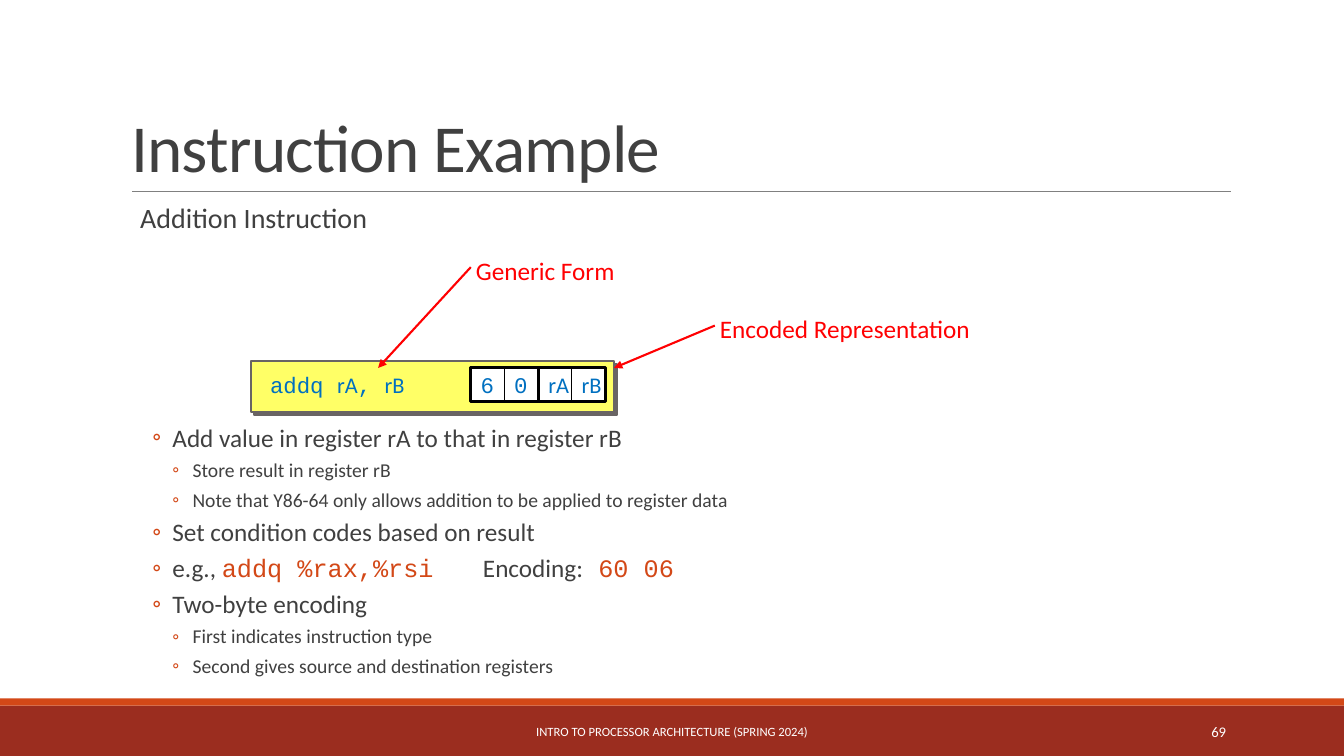
from lxml import etree
from pptx import Presentation
from pptx import util as u
from pptx.dml.color import RGBColor
from pptx.enum import shapes, text
from pptx.oxml.ns import qn

SANS, MONO = "Calibri", "Courier New"
INK, ORANGE, BLUE, RED, WHITE = "404040", "D34817", "0070C0", "FF0002", "FFFFFF"
GREY, BLACK = "696464", "000000"

BULLETS = [
    (1, [("Add value in register rA to that in register rB", SANS, INK)]),
    (2, [("Store result in register rB", SANS, INK)]),
    (2, [("Note that Y86-64 only allows addition to be applied to register data", SANS, INK)]),
    (1, [("Set condition codes based on result", SANS, INK)]),
    (1, [("e.g., ", SANS, INK), ("addq %rax,%rsi\t", MONO, ORANGE),
         ("Encoding:", SANS, INK), (" 60 06", MONO, ORANGE)]),
    (1, [("Two-byte encoding", SANS, INK)]),
    (2, [("First indicates instruction type", SANS, INK)]),
    (2, [("Second gives source and destination registers", SANS, INK)]),
]


def rgb(value):
    return RGBColor.from_string(value)


def sub(parent, tag, **attrs):
    return etree.SubElement(parent, qn(tag), attrs)


def add_runs(p, runs, size):
    for words, font, color in runs:
        r = p.add_run()
        r.text = words
        r.font.name, r.font.size = font, u.Pt(size)
        r.font.color.rgb = rgb(color)


def set_frame(tf, inset=(0.1, 0.05), anchor=text.MSO_ANCHOR.TOP, wrap=True):
    tf.margin_left = tf.margin_right = u.Inches(inset[0])
    tf.margin_top = tf.margin_bottom = u.Inches(inset[1])
    tf.vertical_anchor = anchor
    tf.word_wrap = wrap
    tf.auto_size = text.MSO_AUTO_SIZE.NONE


def add_text(s, box, runs, size, align=text.PP_ALIGN.LEFT, **frame):
    tf = s.shapes.add_textbox(*map(u.Inches, box)).text_frame
    set_frame(tf, **frame)
    tf.paragraphs[0].alignment = align
    add_runs(tf.paragraphs[0], runs, size)
    return tf


def add_rect(s, box, fill=None, line=None, width=0.5):
    sp = s.shapes.add_shape(shapes.MSO_SHAPE.RECTANGLE, *map(u.Inches, box))
    sp.shadow.inherit = False
    if fill:
        sp.fill.solid()
        sp.fill.fore_color.rgb = rgb(fill)
    else:
        sp.fill.background()
    if line:
        sp.line.color.rgb = rgb(line)
        sp.line.width = u.Pt(width)
    else:
        sp.line.fill.background()
    return sp


def add_line(s, start, end, color, width, arrow=False):
    cx = s.shapes.add_connector(shapes.MSO_CONNECTOR.STRAIGHT,
                                *map(u.Inches, (*start, *end)))
    cx.line.color.rgb = rgb(color)
    cx.line.width = u.Pt(width)
    if arrow:
        sub(cx.line._get_or_add_ln(), "a:tailEnd", type="triangle")
    sub(cx._element.spPr, "a:effectLst")


def title(s, box):
    sp = s.shapes.title
    sp.left, sp.top, sp.width, sp.height = map(u.Inches, box)
    set_frame(sp.text_frame, anchor=text.MSO_ANCHOR.BOTTOM)
    p = sp.text_frame.paragraphs[0]
    p.alignment, p.line_spacing = text.PP_ALIGN.LEFT, 0.85
    add_runs(p, [("Instruction Example", SANS, INK)], 48)
    p.runs[0].font._element.set("spc", "-50")
    x, y, w, h = box
    add_line(s, (x + 0.11, y + h), (x + w + 0.01, y + h), "808080", 0.5)


def footer(s, box):
    x, y, w, h = box
    add_rect(s, box, "9B2D1F")
    add_rect(s, (x, y - 0.07, w, 0.07), ORANGE)
    middle = text.MSO_ANCHOR.MIDDLE
    add_text(s, (x + 4.03, y + 0.06, 5.27, 0.4),
             [("INTRO TO PROCESSOR ARCHITECTURE (SPRING 2024)", SANS, WHITE)], 9,
             text.PP_ALIGN.CENTER, anchor=middle)
    add_text(s, (x + 10.83, y + 0.06, 1.43, 0.4), [("69", SANS, WHITE)], 10.5,
             text.PP_ALIGN.RIGHT, anchor=middle)


def bullet_list(s, box):
    tf = add_text(s, box, [], 18, inset=(0, 0.05))
    for i, (level, runs) in enumerate(BULLETS):
        p = tf.add_paragraph() if i else tf.paragraphs[0]
        pPr = p._p.get_or_add_pPr()
        pPr.set("marL", str(u.Inches(0.22 + 0.2 * level)))
        pPr.set("indent", str(u.Inches(-0.2)))
        p.line_spacing = 0.9
        p.space_before, p.space_after = u.Pt(2 if i else 0), u.Pt(4)
        sub(sub(pPr, "a:buClr"), "a:srgbClr", val=ORANGE)
        sub(pPr, "a:buFont", typeface=SANS)
        sub(pPr, "a:buChar", char="◦")
        add_runs(p, runs, 18 if level == 1 else 14)


def instruction(s, box):
    """Yellow panel with the generic form and its two encoded bytes."""
    x, y, w, h = box
    panel = add_rect(s, box, "FFFF66", GREY, 1.5)
    effects = panel._element.spPr.find(qn("a:effectLst"))
    shadow = sub(effects, "a:outerShdw", dist=str(u.Pt(2.8)), dir="2700000",
                 algn="ctr", rotWithShape="0")
    sub(shadow, "a:srgbClr", val=GREY)

    middle = text.MSO_ANCHOR.MIDDLE
    top, side = y + 0.07, 0.33
    add_text(s, (x + 0.09, top, 2.09, side),
             [("addq ", MONO, BLUE), ("rA", SANS, BLUE),
              (", ", MONO, BLUE), ("rB", SANS, BLUE)], 16, anchor=middle, wrap=False)
    encoded = [(("6", "0"), MONO), (("rA", "rB"), SANS)]
    for i, (nibbles, font) in enumerate(encoded):
        left = x + 2.18 + 0.67 * i
        for j, nibble in enumerate(nibbles):
            cell = add_rect(s, (left + side * j, top, side, side), WHITE, BLACK)
            set_frame(cell.text_frame, anchor=middle, wrap=False)
            p = cell.text_frame.paragraphs[0]
            p.alignment = text.PP_ALIGN.LEFT
            add_runs(p, [(nibble, font, BLUE)], 16)
        add_rect(s, (left, top, 0.67, side), None, BLACK, 2.25)


def callout(s, box, words, target):
    x, y, w, h = box
    add_line(s, (x, y + 0.17), target, RED, 1.5, arrow=True)
    add_text(s, box, [(words, SANS, RED)], 18, inset=(0.05, 0.05))


def main():
    prs = Presentation()
    prs.slide_width, prs.slide_height = u.Inches(13.33), u.Inches(7.5)
    s = prs.slides.add_slide(prs.slide_layouts[5])
    footer(s, (0, 7, 13.33, 0.5))
    title(s, (1.2, 0.31, 11, 1.59))
    add_text(s, (1.39, 1.98, 10.81, 0.42), [("Addition Instruction", SANS, INK)], 20,
             inset=(0, 0.05)).paragraphs[0].line_spacing = 0.9
    bullet_list(s, (1.29, 4.17, 10.91, 2.67))
    instruction(s, (2.49, 3.58, 3.6, 0.51))
    callout(s, (7.09, 3.06, 2.62, 0.41), "Encoded Representation", (6.09, 3.65))
    callout(s, (4.67, 2.48, 3.05, 0.41), "Generic Form", (3.75, 3.65))
    prs.save("out.pptx")


if __name__ == "__main__":
    main()
